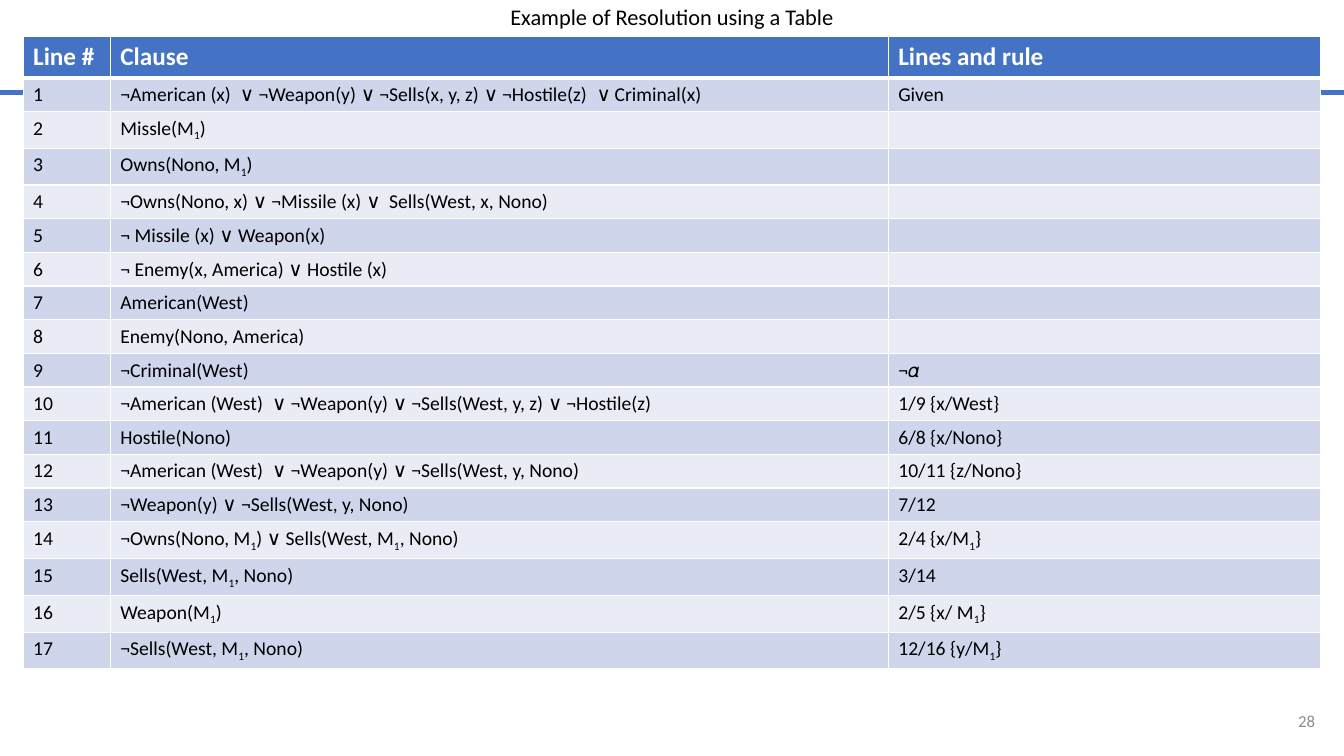
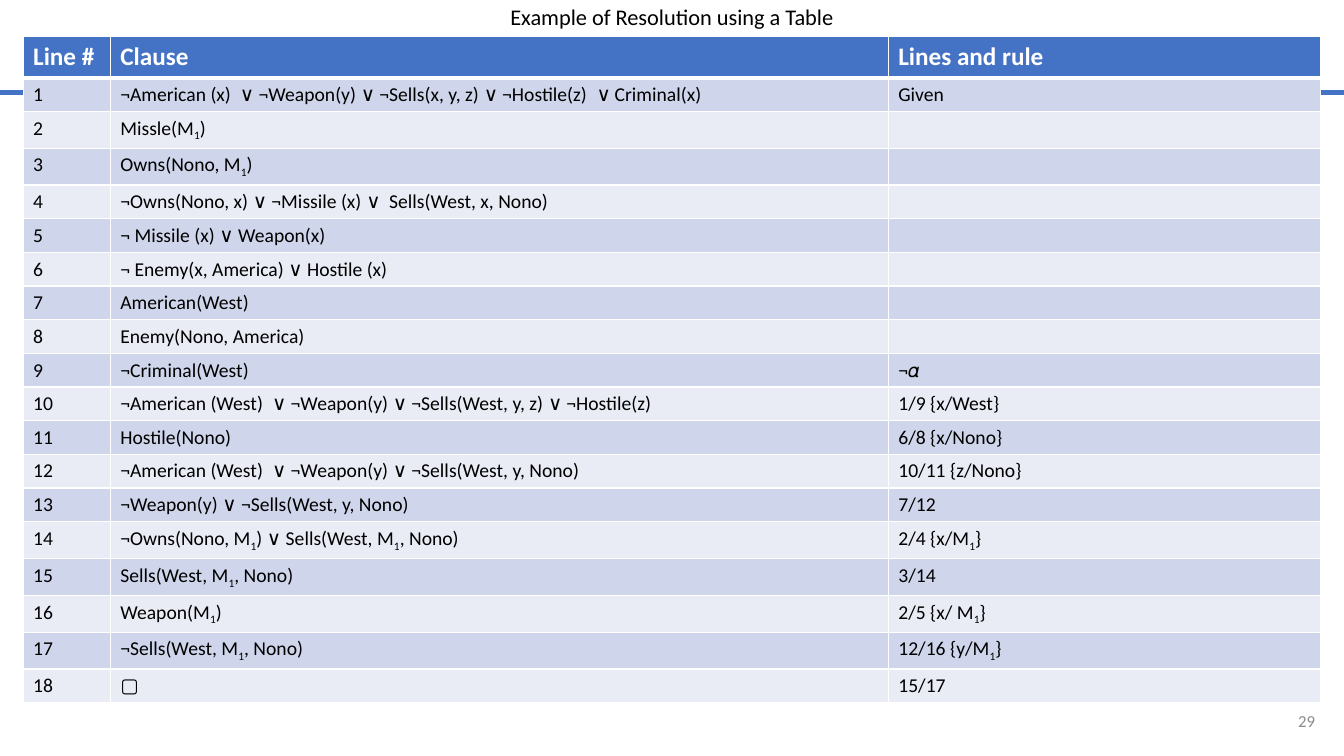
from dataclasses import dataclass

from lxml import etree
from pptx import Presentation
from pptx.dml.color import RGBColor
from pptx.enum.shapes import MSO_CONNECTOR
from pptx.enum.text import MSO_ANCHOR, MSO_AUTO_SIZE, PP_ALIGN
from pptx.oxml.ns import qn
from pptx.util import Emu, Pt

EMU_PER_PX = 9525
SLIDE_WIDTH, SLIDE_HEIGHT = 1280, 720
TITLE_ONLY_LAYOUT = 5


@dataclass(frozen=True)
class Theme:
    font: str = "Calibri"
    accent: str = "4472C4"
    odd_row: str = "CFD5EA"
    even_row: str = "E9EBF5"
    text: str = "000000"
    light: str = "FFFFFF"
    muted: str = "8C8C8C"
    title_size: float = 16
    header_size: float = 18
    body_size: float = 14
    number_size: float = 12
    rule_width: float = 3.75
    grid_width: float = 1
    header_grid_width: float = 3


THEME = Theme()

# Table content: an underscore puts the next character in subscript
TITLE = "Example of Resolution using a Table"
HEADERS = ("Line #", "Clause", "Lines and rule")
PROOF_STEPS = [
    ("¬American (x)  ∨ ¬Weapon(y) ∨ ¬Sells(x, y, z) ∨ ¬Hostile(z)  ∨ Criminal(x)", "Given"),
    ("Missle(M_1)", ""),
    ("Owns(Nono, M_1)", ""),
    ("¬Owns(Nono, x) ∨ ¬Missile (x) ∨  Sells(West, x, Nono)", ""),
    ("¬ Missile (x) ∨ Weapon(x)", ""),
    ("¬ Enemy(x, America) ∨ Hostile (x)", ""),
    ("American(West)", ""),
    ("Enemy(Nono, America)", ""),
    ("¬Criminal(West)", "¬𝛼"),
    ("¬American (West)  ∨ ¬Weapon(y) ∨ ¬Sells(West, y, z) ∨ ¬Hostile(z)", "1/9 {x/West}"),
    ("Hostile(Nono)", "6/8 {x/Nono}"),
    ("¬American (West)  ∨ ¬Weapon(y) ∨ ¬Sells(West, y, Nono)", "10/11 {z/Nono}"),
    ("¬Weapon(y) ∨ ¬Sells(West, y, Nono)", "7/12"),
    ("¬Owns(Nono, M_1) ∨ Sells(West, M_1, Nono)", "2/4 {x/M_1}"),
    ("Sells(West, M_1, Nono)", "3/14"),
    ("Weapon(M_1)", "2/5 {x/ M_1}"),
    ("¬Sells(West, M_1, Nono)", "12/16 {y/M_1}"),
]
EMPTY_CLAUSE = ("▢", "15/17")

# Table geometry
TABLE_LEFT, TABLE_TOP = 22, 35
COLUMN_WIDTHS = (83, 741, 412)
HEADER_HEIGHT, ROW_HEIGHT, SUBSCRIPT_ROW_HEIGHT = 39, 32, 35


def px(length):
    return Emu(length * EMU_PER_PX)


def style_font(font, size, color, bold=False):
    font.name = THEME.font
    font.size = Pt(size)
    font.bold = bold
    font.color.rgb = RGBColor.from_string(color)


# Shared slide parts
def set_title(slide, text):
    title = slide.shapes.title
    title.left, title.top, title.width, title.height = px(0), px(-2), px(SLIDE_WIDTH), px(39)
    frame = title.text_frame
    frame.text = text
    frame.auto_size = MSO_AUTO_SIZE.NONE
    frame.vertical_anchor = MSO_ANCHOR.MIDDLE
    paragraph = frame.paragraphs[0]
    paragraph.alignment = PP_ALIGN.CENTER
    paragraph.line_spacing = 0.9
    style_font(paragraph.runs[0].font, THEME.title_size, THEME.text)


def add_rule(slide, top):
    rule = slide.shapes.add_connector(
        MSO_CONNECTOR.STRAIGHT, px(0), px(top), px(SLIDE_WIDTH), px(top))
    rule.line.color.rgb = RGBColor.from_string(THEME.accent)
    rule.line.width = Pt(THEME.rule_width)
    etree.SubElement(rule._element.spPr, qn("a:effectLst"))


def add_slide_number(slide, number):
    frame = slide.shapes.add_textbox(px(1197), px(667), px(65), px(38)).text_frame
    frame.word_wrap = True
    frame.vertical_anchor = MSO_ANCHOR.MIDDLE
    frame.text = str(number)
    paragraph = frame.paragraphs[0]
    paragraph.alignment = PP_ALIGN.RIGHT
    style_font(paragraph.runs[0].font, THEME.number_size, THEME.muted)


# Table parts
def set_borders(cell, top, bottom):
    properties = cell._tc.get_or_add_tcPr()
    widths = {"L": THEME.grid_width, "R": THEME.grid_width, "T": top, "B": bottom}
    for side, width in widths.items():
        line = etree.SubElement(properties, qn(f"a:ln{side}"), w=str(Pt(width)))
        fill = etree.SubElement(line, qn("a:solidFill"))
        etree.SubElement(fill, qn("a:srgbClr"), val=THEME.light)


def write_cell(cell, text, size, color, bold):
    paragraph = cell.text_frame.paragraphs[0]
    if not text:
        paragraph._p.get_or_add_endParaRPr().set("sz", str(size * 100))
        return
    first, *rest = text.split("_")
    pieces = [(first, False)]
    for part in rest:
        pieces += [(part[0], True), (part[1:], False)]
    for piece, is_subscript in pieces:
        run = paragraph.add_run()
        run.text = piece
        style_font(run.font, size, color, bold)
        if is_subscript:
            run._r.get_or_add_rPr().set("baseline", "-25000")


def fill_row(table, index, values):
    is_header = index == 0
    if is_header:
        fill, size, color = THEME.accent, THEME.header_size, THEME.light
    else:
        fill = THEME.odd_row if index % 2 else THEME.even_row
        size, color = THEME.body_size, THEME.text
    top = THEME.header_grid_width if index == 1 else THEME.grid_width
    bottom = THEME.header_grid_width if is_header else THEME.grid_width
    for column, text in enumerate(values):
        cell = table.cell(index, column)
        set_borders(cell, top, bottom)
        cell.fill.solid()
        cell.fill.fore_color.rgb = RGBColor.from_string(fill)
        write_cell(cell, text, size, color, is_header)


def row_height(values):
    if values is HEADERS:
        return HEADER_HEIGHT
    return SUBSCRIPT_ROW_HEIGHT if "_" in "".join(values) else ROW_HEIGHT


def add_proof_table(slide, steps):
    rows = [HEADERS] + [(str(line), *step) for line, step in enumerate(steps, 1)]
    heights = [row_height(values) for values in rows]
    table = slide.shapes.add_table(
        len(rows), len(HEADERS), px(TABLE_LEFT), px(TABLE_TOP),
        px(sum(COLUMN_WIDTHS)), px(sum(heights))).table
    for column, width in zip(table.columns, COLUMN_WIDTHS):
        column.width = px(width)
    for index, (values, height) in enumerate(zip(rows, heights)):
        table.rows[index].height = px(height)
        fill_row(table, index, values)


def add_proof_slide(presentation, number, steps):
    slide = presentation.slides.add_slide(presentation.slide_layouts[TITLE_ONLY_LAYOUT])
    set_title(slide, TITLE)
    add_rule(slide, 88)
    add_slide_number(slide, number)
    add_proof_table(slide, steps)


def main():
    presentation = Presentation()
    presentation.slide_width = px(SLIDE_WIDTH)
    presentation.slide_height = px(SLIDE_HEIGHT)
    add_proof_slide(presentation, 28, PROOF_STEPS)
    add_proof_slide(presentation, 29, PROOF_STEPS + [EMPTY_CLAUSE])
    presentation.save("out.pptx")


if __name__ == "__main__":
    main()
